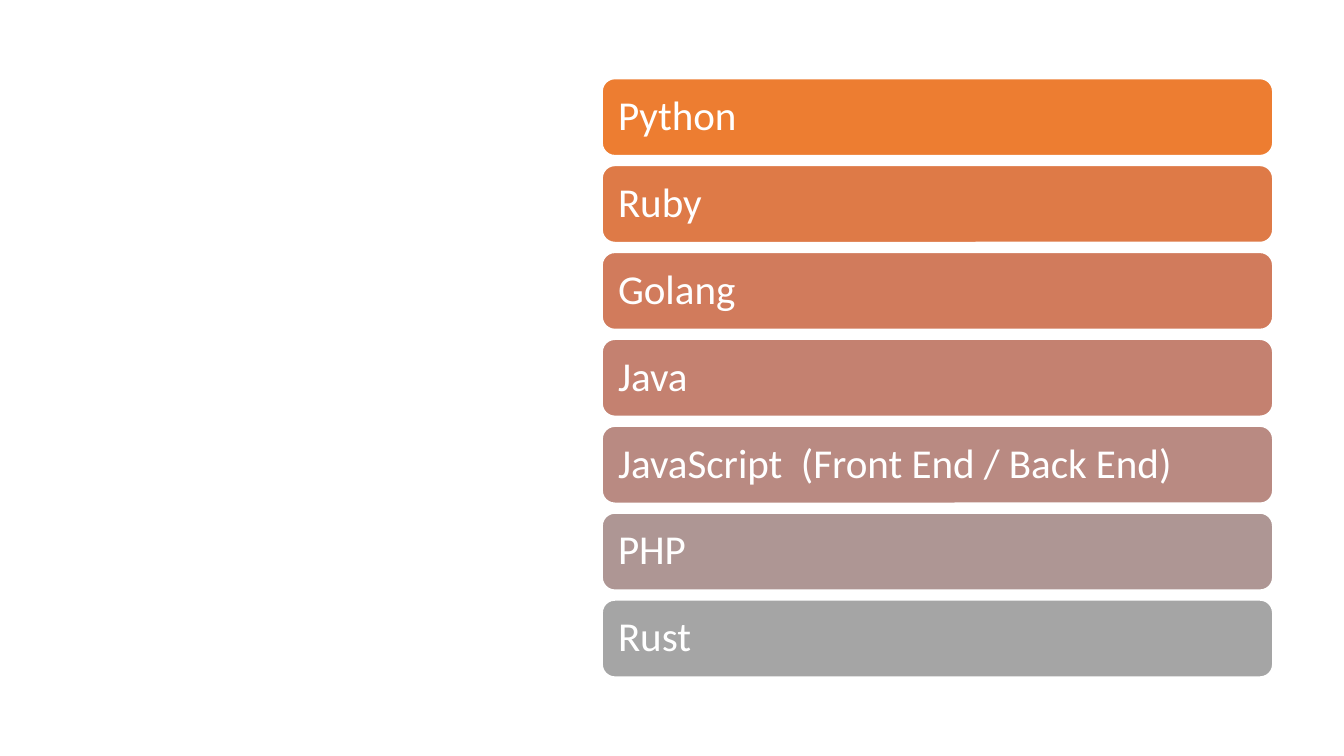
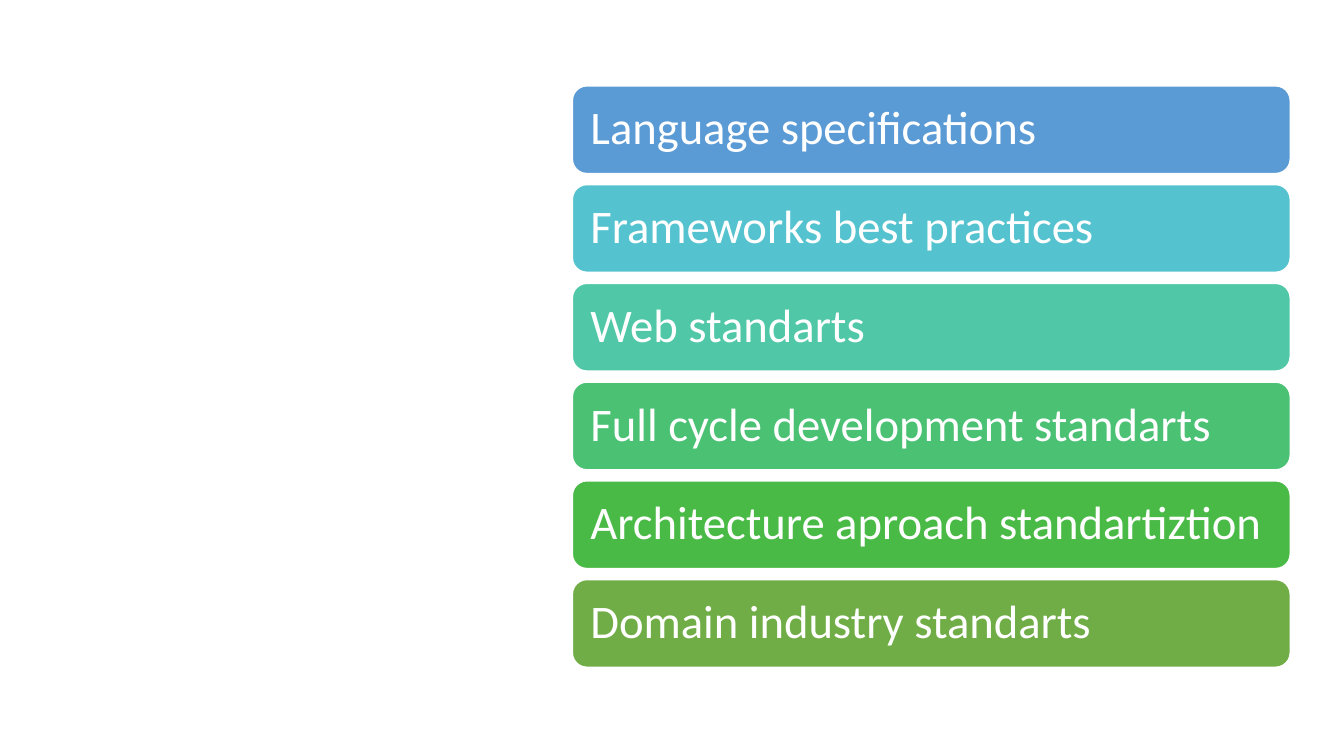
"""Two slides, each with a column of coloured bars on the right."""
from pptx import Presentation
from pptx.dml.color import RGBColor
from pptx.enum.shapes import MSO_SHAPE
from pptx.enum.text import MSO_ANCHOR, PP_ALIGN
from pptx.util import Pt

ROUNDED = MSO_SHAPE.ROUNDED_RECTANGLE
MIDDLE = MSO_ANCHOR.MIDDLE
LEFT = PP_ALIGN.LEFT

WHITE = RGBColor(0xFF, 0xFF, 0xFF)
ORANGE = RGBColor(0xED, 0x7D, 0x31)
COPPER = RGBColor(0xDE, 0x7A, 0x47)
TERRACOTTA = RGBColor(0xD1, 0x7B, 0x5C)
CLAY = RGBColor(0xC4, 0x81, 0x70)
ROSE = RGBColor(0xB9, 0x8A, 0x82)
MAUVE = RGBColor(0xAE, 0x96, 0x94)
GRAY = RGBColor(0xA5, 0xA5, 0xA5)
BLUE = RGBColor(0x5B, 0x9B, 0xD5)
CYAN = RGBColor(0x55, 0xC3, 0xCF)
TEAL = RGBColor(0x50, 0xC8, 0xA7)
MINT = RGBColor(0x4B, 0xC1, 0x74)
GREEN = RGBColor(0x4A, 0xBA, 0x46)
OLIVE = RGBColor(0x70, 0xAD, 0x47)

FONT = "Calibri"
SLIDE_W, SLIDE_H = 720, 405

LANGUAGES = [
    ("Python", ORANGE),
    ("Ruby", COPPER),
    ("Golang", TERRACOTTA),
    ("Java\u00a0", CLAY),
    ("JavaScript\u00a0 (Front End\u00a0/ Back End)", ROSE),
    ("PHP", MAUVE),
    ("Rust", GRAY),
]
STANDARDS = [
    ("Language specifications", BLUE),
    ("Frameworks best practices", CYAN),
    ("Web standarts", TEAL),
    ("Full cycle development standarts", MINT),
    ("Architecture aproach standartiztion", GREEN),
    ("Domain industry standarts", OLIVE),
]
# Lengths and text sizes in points.
COLUMNS = [
    dict(bars=LANGUAGES, left=322.5, top=42, width=359.5,
         height=41.5, gap=5.06, size=22, inset=6.6),
    dict(bars=STANDARDS, left=306.5, top=45.9, width=384.8,
         height=47.2, gap=5.7, size=25, inset=7.5),
]


def add_bar(shapes, text, color, box, size, inset):
    """Add one rounded bar with left-aligned white text."""
    sp = shapes.add_shape(ROUNDED, *(Pt(v) for v in box))
    sp.shadow.inherit = False
    sp.fill.solid()
    sp.fill.fore_color.rgb = color
    sp.line.color.rgb = WHITE
    sp.line.width = Pt(1)
    tf = sp.text_frame
    tf.word_wrap = True
    tf.vertical_anchor = MIDDLE
    tf.margin_left = tf.margin_right = Pt(inset)
    tf.margin_top = tf.margin_bottom = Pt(inset)
    p = tf.paragraphs[0]
    p.text = text
    p.alignment = LEFT
    p.line_spacing = 0.9
    p.font.name = FONT
    p.font.size = Pt(size)
    p.font.color.rgb = WHITE


def add_column(s, bars, left, top, width, height, gap, size, inset):
    """Stack the bars at an equal pitch, as one group."""
    group = s.shapes.add_group_shape()
    for i, (text, color) in enumerate(bars):
        box = (left, top + i * (height + gap), width, height)
        add_bar(group.shapes, text, color, box, size, inset)


def main():
    """Build and save the slides."""
    prs = Presentation()
    prs.slide_width, prs.slide_height = Pt(SLIDE_W), Pt(SLIDE_H)
    blank = prs.slide_layouts.get_by_name("Blank")
    for column in COLUMNS:
        add_column(prs.slides.add_slide(blank), **column)
    prs.save("out.pptx")


main()
